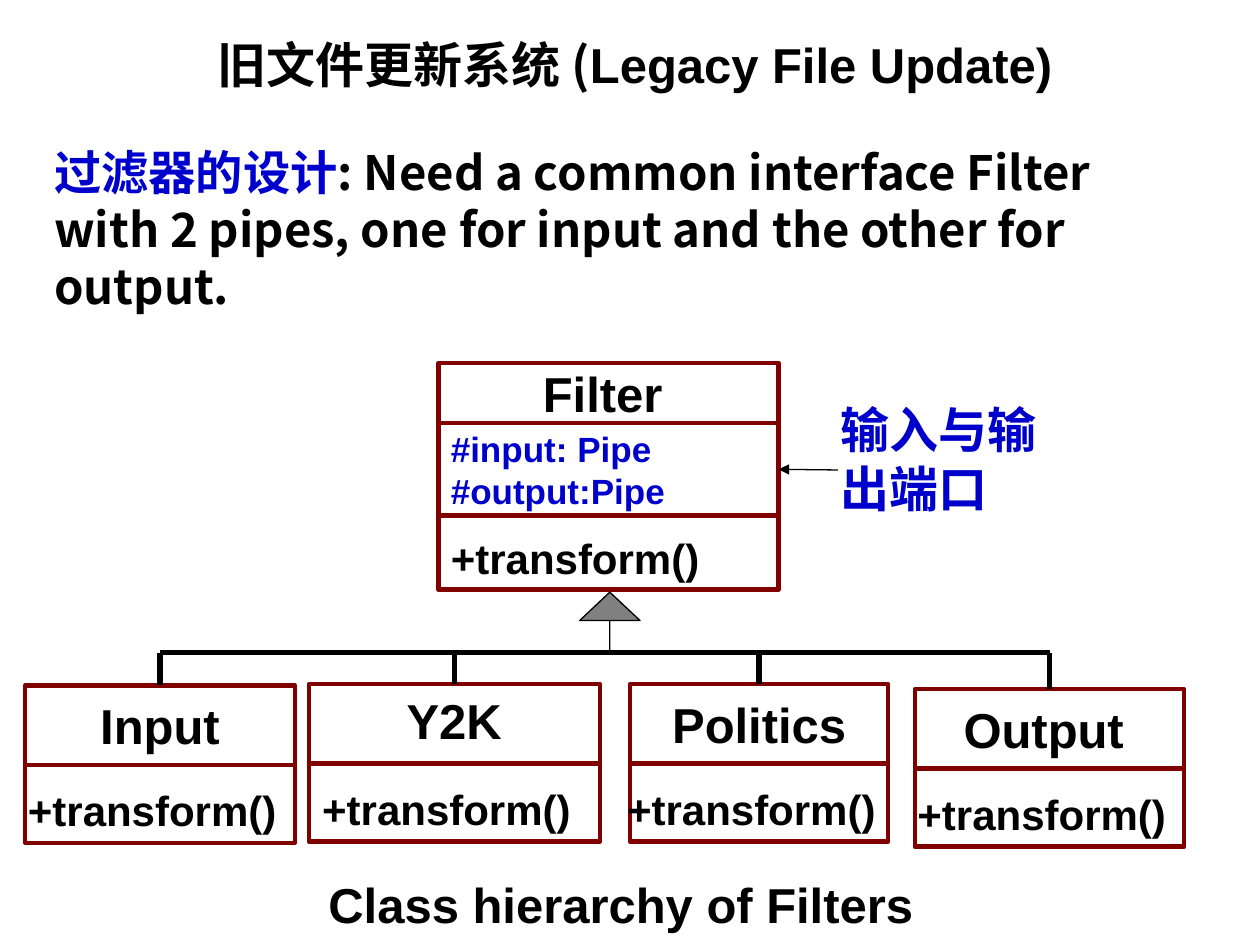
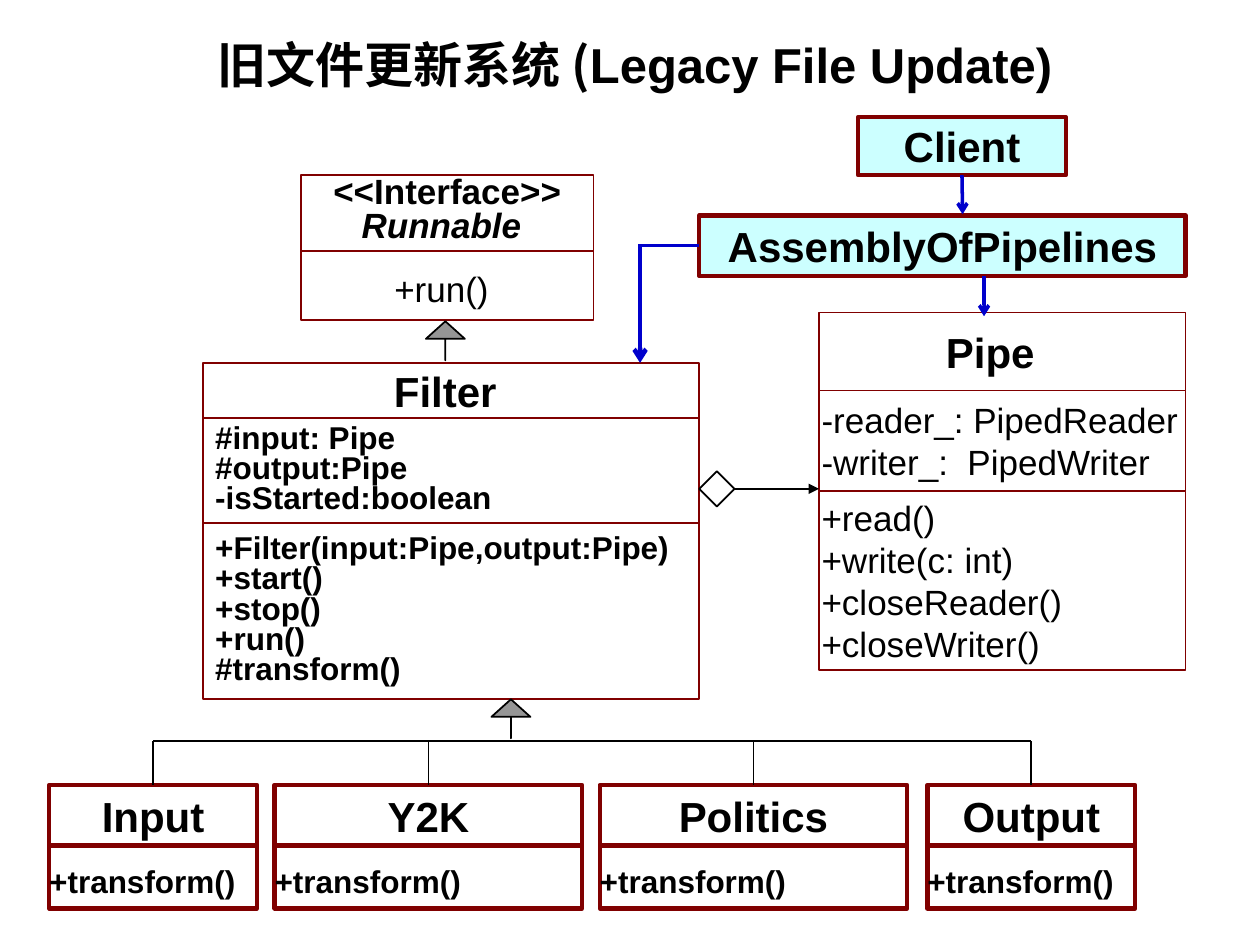
from lxml.etree import SubElement
from pptx import Presentation
from pptx.dml.color import RGBColor
from pptx.enum.shapes import MSO_CONNECTOR, MSO_SHAPE
from pptx.enum.text import MSO_ANCHOR, PP_ALIGN
from pptx.oxml.ns import qn
from pptx.util import Inches, Pt

LATIN, CJK = "Arial", "Noto Sans CJK SC"
BLACK, WHITE, BLUE, MAROON, CYAN = "000000", "FFFFFF", "0000CC", "800000", "CCFFFF"
TOP, LEFT, BOTTOM, RIGHT = range(4)
MARGINS = (0.1, 0.05, 0.1, 0.05)

# A paragraph is a string or a list of (text, run format) pairs.
TITLE = [("旧文件更新系统 (", {"name": CJK}), ("Legacy File Update)", {})]
INTRO = [("过滤器的设计", {"color": BLUE}),
         (": Need a common interface Filter with 2 pipes, "
          "one for input and the other for output.", {})]
PORTS_NOTE = ["输入与输", "出端口"]
CAPTION = "Class hierarchy of Filters"
METHOD = ["+transform()"]

# Classes: left, top, width, then compartments of (height, paragraphs, format).
# "tail" is the size of the space that ends the last paragraph.
FILTER = (3.48, 2.88, 2.7, [
    (0.48, ["Filter"], {"size": 28, "tail": 24, "align": "c"}),
    (0.73, ["#input: Pipe", "#output:Pipe"], {"size": 20, "color": BLUE}),
    (0.59, METHOD, {"size": 24, "tail": 32}),
])
STARTED_FILTER = (1.61, 2.88, 3.94, [
    (0.44, ["Filter"], {"size": 24, "tail": 24, "align": "c"}),
    (0.83, ["#input: Pipe", "#output:Pipe", "-isStarted:boolean"],
     {"size": 18, "spacing": 0.8}),
    (1.4, ["+Filter(input:Pipe,output:Pipe)", "+start()", "+stop()", "+run()",
           "#transform()"], {"size": 18, "spacing": 0.8}),
])
RUNNABLE = (2.39, 1.39, 2.32, [
    (0.6, ["<<Interface>>", [("Runnable", {"italic": True})]],
     {"size": 20, "tail": 24, "align": "c", "spacing": 0.7}),
    (0.55, ["+run()"], {"size": 20, "tail": 24, "align": "c", "bold": False}),
])
MEMBER = {"size": 20, "bold": False, "margins": (0.02, 0.05, 0.1, 0.05)}
PIPE = (6.5, 2.48, 2.91, [
    (0.62, ["Pipe"], {"size": 24, "align": "c", "margins": (0.1, 0.05, 0.29, 0.05)}),
    (0.8, ["-reader_: PipedReader", "-writer_:  PipedWriter"], MEMBER),
    (1.42, ["+read()", "+write(c: int)", "+closeReader()", "+closeWriter()"], MEMBER),
])
CLIENT = (6.81, 0.93, 1.65, [(0.46, ["Client"], {"size": 24, "align": "c"})])
ASSEMBLY = (5.55, 1.71, 3.86,
            [(0.48, ["AssemblyOfPipelines"], {"size": 24, "align": "c"})])

# Subclasses: name, left, top, width, extra format of the name
HIERARCHY = {
    "rows": [("Input", 0.2, 5.44, 2.14, {}),
             ("Y2K", 2.45, 5.43, 2.31, {"spacing": 0.9}),
             ("Politics", 5, 5.43, 2.05, {}),
             ("Output", 7.26, 5.47, 2.14, {"tail": 24})],
    "heights": (0.63, 0.62), "bar": 5.18, "weight": 3, "fill": WHITE,
    "name": {"size": 28, "align": "c"},
    "method": {"size": 24, "tail": 32, "align": "c"},
}
FULL_HIERARCHY = {
    "rows": [("Input", 0.39, 6.23, 1.65, {}), ("Y2K", 2.18, 6.23, 2.44, {}),
             ("Politics", 4.76, 6.23, 2.44, {}), ("Output", 7.36, 6.23, 1.65, {})],
    "heights": (0.48, 0.5), "bar": 5.88, "weight": 1, "fill": None,
    "name": {"size": 24, "align": "c"},
    "method": {"size": 18, "tail": 24, "wrap": True, "margins": (0, 0.05, 0.1, 0.05)},
}


def rgb(hex_color):
    return RGBColor.from_string(hex_color)


def write(shape, paragraphs, size, color=BLACK, name=LATIN, bold=True, align="l",
          spacing=None, tail=None, margins=MARGINS, wrap=False, anchor=MSO_ANCHOR.MIDDLE):
    frame = shape.text_frame
    frame_format = dict(zip(("margin_left", "margin_top", "margin_right", "margin_bottom"),
                            map(Inches, margins)))
    frame_format.update(word_wrap=wrap, vertical_anchor=anchor)
    for key, value in frame_format.items():
        setattr(frame, key, value)
    for index, content in enumerate(paragraphs):
        paragraph = frame.add_paragraph() if index else frame.paragraphs[0]
        paragraph.alignment = PP_ALIGN.CENTER if align == "c" else PP_ALIGN.LEFT
        if spacing:
            paragraph.line_spacing = spacing
        runs = [(content, {})] if isinstance(content, str) else list(content)
        if tail and index == len(paragraphs) - 1:
            runs.append((" ", {"size": tail}))
        for text, changes in runs:
            look = {"size": size, "color": color, "name": name, "bold": bold, **changes}
            run = paragraph.add_run()
            run.text = text
            run.font.color.rgb = rgb(look.pop("color"))
            look["size"] = Pt(look["size"])
            for key, value in look.items():
                setattr(run.font, key, value)
            SubElement(run.font._element, qn("a:ea")).set("typeface", look["name"])


def add_text(slide, box, paragraphs, **look):
    shape = slide.shapes.add_textbox(*map(Inches, box))
    write(shape, paragraphs, **{"wrap": True, "anchor": MSO_ANCHOR.TOP, **look})


def add_preset(slide, preset, box, fill, line, weight):
    shape = slide.shapes.add_shape(preset, *map(Inches, box))
    shape.shadow.inherit = False
    if fill:
        shape.fill.solid()
        shape.fill.fore_color.rgb = rgb(fill)
    else:
        shape.fill.background()
    shape.line.color.rgb = rgb(line)
    shape.line.width = Pt(weight)
    return shape


def add_class(slide, spec, weight=2.5, fill=WHITE):
    """Stack the compartments of a class and return their shapes."""
    left, top, width, compartments = spec
    stack = []
    for height, paragraphs, look in compartments:
        part = add_preset(slide, MSO_SHAPE.RECTANGLE, (left, top, width, height),
                          fill, MAROON, weight)
        write(part, paragraphs, **look)
        stack.append(part)
        top += height
    return stack


def add_inheritance(slide, box, head, fill, weight):
    """Draw a triangle on a bare shaft, pointing at the parent class."""
    arrow = add_preset(slide, MSO_SHAPE.UP_ARROW, box, fill, BLACK, weight)
    arrow.adjustments[0], arrow.adjustments[1] = 0, head


def link(slide, start, end, weight, color=BLACK, head=None):
    """Join two ends, each a point in inches or a (shape, side) pair."""
    points = [(0, 0) if hasattr(stop[0], "shape_id") else tuple(map(Inches, stop))
              for stop in (start, end)]
    line = slide.shapes.add_connector(MSO_CONNECTOR.STRAIGHT, *points[0], *points[1])
    for stop, connect in ((start, line.begin_connect), (end, line.end_connect)):
        if hasattr(stop[0], "shape_id"):
            connect(*stop)
    line.line.color.rgb = rgb(color)
    line.line.width = Pt(weight)
    if head:
        SubElement(line.line._get_or_add_ln(), qn("a:tailEnd")).set("type", head)
    SubElement(line._element.spPr, qn("a:effectLst"))


def add_hierarchy(slide, rows, heights, bar, weight, fill, name, method):
    centers = [left + width / 2 for _, left, _, width, _ in rows]
    link(slide, (centers[0], bar), (centers[-1], bar), weight)
    for center, (title, left, top, width, extra) in zip(centers, rows):
        compartments = [(heights[0], [title], {**name, **extra}),
                        (heights[1], METHOD, method)]
        stack = add_class(slide, (left, top, width, compartments), fill=fill)
        link(slide, (center, bar), (stack[0], TOP), weight)


def add_slide(deck):
    slide = deck.slides.add_slide(deck.slide_layouts[6])
    add_text(slide, (0.51, 0.28, 9.06, 0.52), [TITLE], size=28, align="c", spacing=0.9)
    return slide


def build_filter_design(deck):
    slide = add_slide(deck)
    add_text(slide, (0.43, 1.14, 8.82, 1.35), [INTRO], size=27, name=CJK,
             margins=(0, 0, 0, 0))
    _, ports, _ = add_class(slide, FILTER)
    add_inheritance(slide, (4.6, 4.7, 0.48, 0.47), 0.48, "808080", 0.75)
    add_hierarchy(slide, **HIERARCHY)
    add_text(slide, (6.57, 3.12, 1.89, 1.04), PORTS_NOTE, size=28, name=CJK, color=BLUE)
    link(slide, (6.65, 3.73), (ports, RIGHT), 0.75, head="triangle")
    add_text(slide, (0.59, 6.9, 8.78, 0.55), [CAPTION], size=28, align="c", tail=28,
             anchor=MSO_ANCHOR.MIDDLE)


def build_full_design(deck):
    slide = add_slide(deck)
    for spec in (PIPE, RUNNABLE, STARTED_FILTER):
        add_class(slide, spec, weight=1)
    add_hierarchy(slide, **FULL_HIERARCHY)
    for left, top in ((3.9, 5.55), (3.38, 2.55)):
        add_inheritance(slide, (left, top, 0.31, 0.31), 0.45, "969696", 1)
    owner = add_preset(slide, MSO_SHAPE.DIAMOND, (5.55, 3.74, 0.28, 0.28), WHITE, BLACK, 1)
    link(slide, (owner, RIGHT), (6.5, 3.88), 1, head="triangle")

    client, = add_class(slide, CLIENT, fill=CYAN)
    assembly, = add_class(slide, ASSEMBLY, fill=CYAN)
    link(slide, (client, BOTTOM), (7.64, 1.7), 2, BLUE, "arrow")
    link(slide, (7.81, 2.19), (7.81, 2.51), 2, BLUE, "arrow")
    link(slide, (assembly, LEFT), (5.08, 1.95), 2, BLUE)
    link(slide, (5.08, 1.94), (5.08, 2.88), 2.5, BLUE, "arrow")


def main():
    deck = Presentation()
    deck.slide_width, deck.slide_height = Inches(10), Inches(7.5)
    build_filter_design(deck)
    build_full_design(deck)
    deck.save("out.pptx")


if __name__ == "__main__":
    main()
